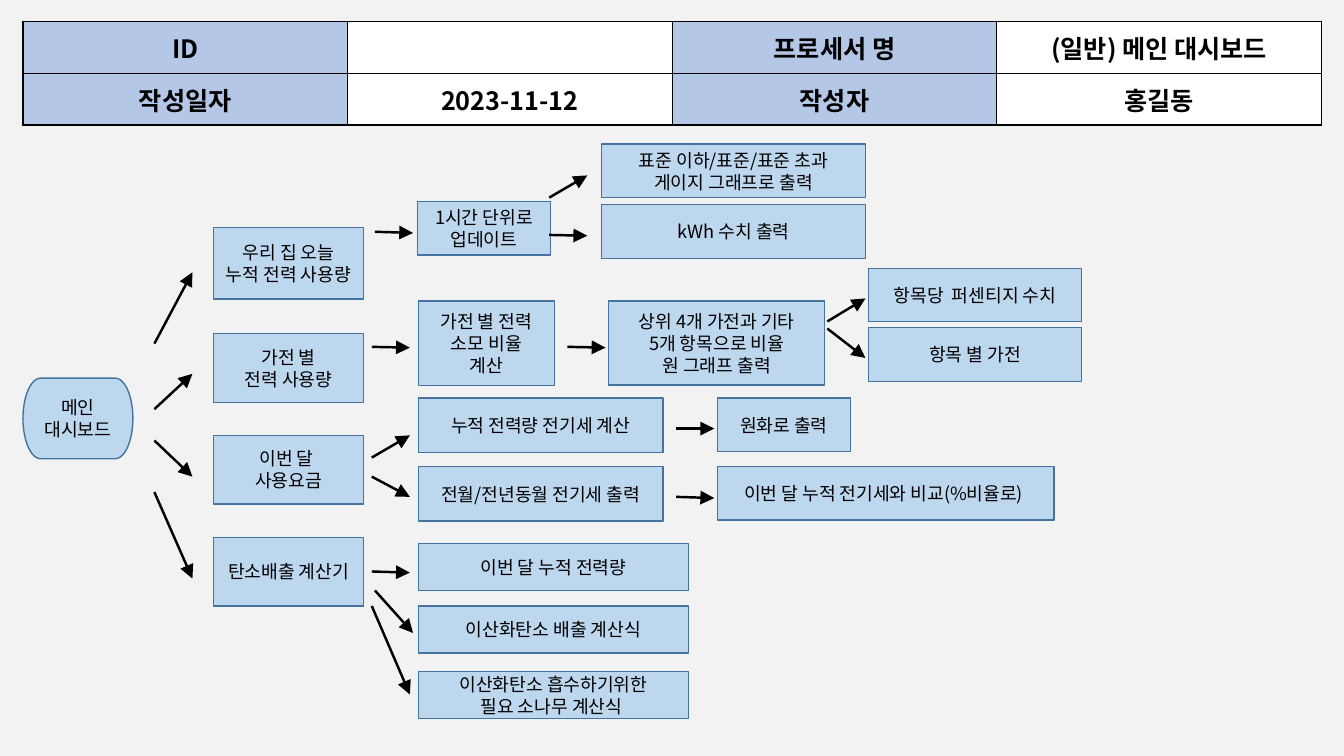
from dataclasses import dataclass

from lxml import etree
from pptx import Presentation, oxml
from pptx import util as u
from pptx.dml.color import RGBColor
from pptx.enum import shapes, text
from pptx.oxml import ns


@dataclass(frozen=True)
class Theme:
    font: str = "Noto Sans CJK KR"
    ink: str = "000000"
    backdrop: str = "F2F2F2"
    label: str = "B4C7E7"
    value: str = "FFFFFF"
    step: str = "BDD7EE"
    step_edge: str = "43739E"
    header_size: float = 18
    step_size: float = 13
    edge_width: float = 1
    arrow_width: float = 1.75


THEME = Theme()

HEADER = [
    ("ID", "", "프로세서 명", "(일반) 메인 대시보드"),
    ("작성일자", "2023-11-12", "작성자", "홍길동"),
]
HEADER_LEFT, HEADER_TOP, HEADER_COLUMN, HEADER_ROW = 0.58, 0.55, 8.18, 1.3

START = ("메인\n대시보드", 0.58, 9.53, 2.77, 2.03)

STEP_COLUMNS = [
    (5.38, 3.78, 1.8, [(5.74, "우리 집 오늘 누적 전력 사용량")]),
    (5.38, 3.78, 1.73, [
        (8.41, "가전 별\n전력 사용량"),
        (10.97, "이번 달 \n사용요금"),
        (13.54, "탄소배출 계산기"),
    ]),
    (10.52, 3.35, 1.35, [(5.08, "1시간 단위로 업데이트")]),
    (15.16, 6.65, 1.35, [
        (3.63, "표준 이하/표준/표준 초과\n게이지 그래프로 출력"),
        (5.16, "kWh 수치 출력"),
    ]),
    (10.54, 3.43, 2.13, [(7.59, "가전 별 전력 소모 비율\n계산")]),
    (15.34, 5.44, 2.11, [
        (7.59, "상위 4개 가전과 기타\n5개 항목으로 비율\n원 그래프 출력"),
    ]),
    (21.89, 5.36, 1.35, [
        (6.76, "항목당  퍼센티지 수치"),
        (8.26, "항목 별 가전"),
    ]),
    (10.54, 6.17, 1.37, [
        (10.03, "누적 전력량 전기세 계산"),
        (11.76, "전월/전년동월 전기세 출력"),
    ]),
    (18.08, 3.35, 1.35, [(10.03, "원화로 출력")]),
    (18.08, 8.48, 1.35, [(11.76, "이번 달 누적 전기세와 비교(%비율로) ")]),
    (10.54, 6.81, 1.19, [
        (13.69, "이번 달 누적 전력량"),
        (15.27, "이산화탄소 배출 계산식"),
        (16.92, "이산화탄소 흡수하기위한\n필요 소나무 계산식 "),
    ]),
]

ARROW_RUN = 0.96
ARROWS = {
    3.89: [(8.66, 6.86), (10.31, 9.42), (11.1, 12.01), (12.4, 14.58)],
    9.37: [(8.74, 8.76), (11.53, 10.97), (12.01, 12.52),
           (14.4, 14.43), (15.27, 17.5)],
    9.45: [(5.84, 5.87), (14.88, 15.95)],
    13.84: [(4.98, 4.42), (5.92, 5.94)],
    14.3: [(8.74, 8.76)],
    17.04: [(10.8, 10.8), (12.52, 12.55)],
    20.85: [(8.1, 7.52), (8.28, 9.02)],
}


def rgb(code):
    return RGBColor.from_string(code)


def paint(fill, code):
    fill.solid()
    fill.fore_color.rgb = rgb(code)


def write(frame, wording, size, bold=False):
    frame.text = wording
    for paragraph in frame.paragraphs:
        paragraph.alignment = text.PP_ALIGN.CENTER
        for run in paragraph.runs:
            run.font.name = THEME.font
            run.font.size = u.Pt(size)
            run.font.bold = bold
            run.font.color.rgb = rgb(THEME.ink)
            east_asian = etree.SubElement(run.font._element, ns.qn("a:ea"))
            east_asian.set("typeface", THEME.font)


def border(cell):
    properties = cell._tc.get_or_add_tcPr()
    for side in ("lnL", "lnR", "lnT", "lnB"):
        properties.append(oxml.parse_xml(
            f'<a:{side} {ns.nsdecls("a")} w="{u.Pt(THEME.edge_width)}">'
            f'<a:solidFill><a:srgbClr val="{THEME.ink}"/></a:solidFill>'
            f'</a:{side}>'))


def add_header(slide):
    rows, columns = len(HEADER), len(HEADER[0])
    table = slide.shapes.add_table(
        rows, columns, u.Cm(HEADER_LEFT), u.Cm(HEADER_TOP),
        u.Cm(HEADER_COLUMN * columns), u.Cm(HEADER_ROW * rows)).table
    for column in table.columns:
        column.width = u.Cm(HEADER_COLUMN)
    for row, wordings in zip(table.rows, HEADER):
        row.height = u.Cm(HEADER_ROW)
        for index, (cell, wording) in enumerate(zip(row.cells, wordings)):
            border(cell)
            paint(cell.fill, THEME.value if index % 2 else THEME.label)
            cell.vertical_anchor = text.MSO_ANCHOR.MIDDLE
            write(cell.text_frame, wording, THEME.header_size, bold=True)


def add_step(slide, wording, left, top, width, height,
             outline=shapes.MSO_SHAPE.RECTANGLE):
    step = slide.shapes.add_shape(
        outline, *map(u.Cm, (left, top, width, height)))
    step.shadow.inherit = False
    paint(step.fill, THEME.step)
    step.line.color.rgb = rgb(THEME.step_edge)
    step.line.width = u.Pt(THEME.edge_width)
    frame = step.text_frame
    frame.word_wrap = True
    frame.vertical_anchor = text.MSO_ANCHOR.MIDDLE
    frame.margin_left = frame.margin_right = u.Cm(0.27)
    write(frame, wording, THEME.step_size)


def add_arrow(slide, left, start, end):
    arrow = slide.shapes.add_connector(
        shapes.MSO_CONNECTOR.STRAIGHT,
        *map(u.Cm, (left, start, left + ARROW_RUN, end)))
    arrow.line.color.rgb = rgb(THEME.ink)
    arrow.line.width = u.Pt(THEME.arrow_width)
    head = etree.SubElement(arrow.line._get_or_add_ln(), ns.qn("a:tailEnd"))
    for key, setting in (("type", "triangle"), ("w", "lg"), ("len", "lg")):
        head.set(key, setting)
    etree.SubElement(arrow._element.spPr, ns.qn("a:effectLst"))


deck = Presentation()
deck.slide_width, deck.slide_height = u.Cm(33.87), u.Cm(19.05)
dashboard = deck.slides.add_slide(deck.slide_layouts[6])
paint(dashboard.background.fill, THEME.backdrop)

add_header(dashboard)
add_step(dashboard, *START, outline=shapes.MSO_SHAPE.FLOWCHART_TERMINATOR)
for left, width, height, steps in STEP_COLUMNS:
    for top, wording in steps:
        add_step(dashboard, wording, left, top, width, height)
for left, spans in ARROWS.items():
    for start, end in spans:
        add_arrow(dashboard, left, start, end)

deck.save("out.pptx")
